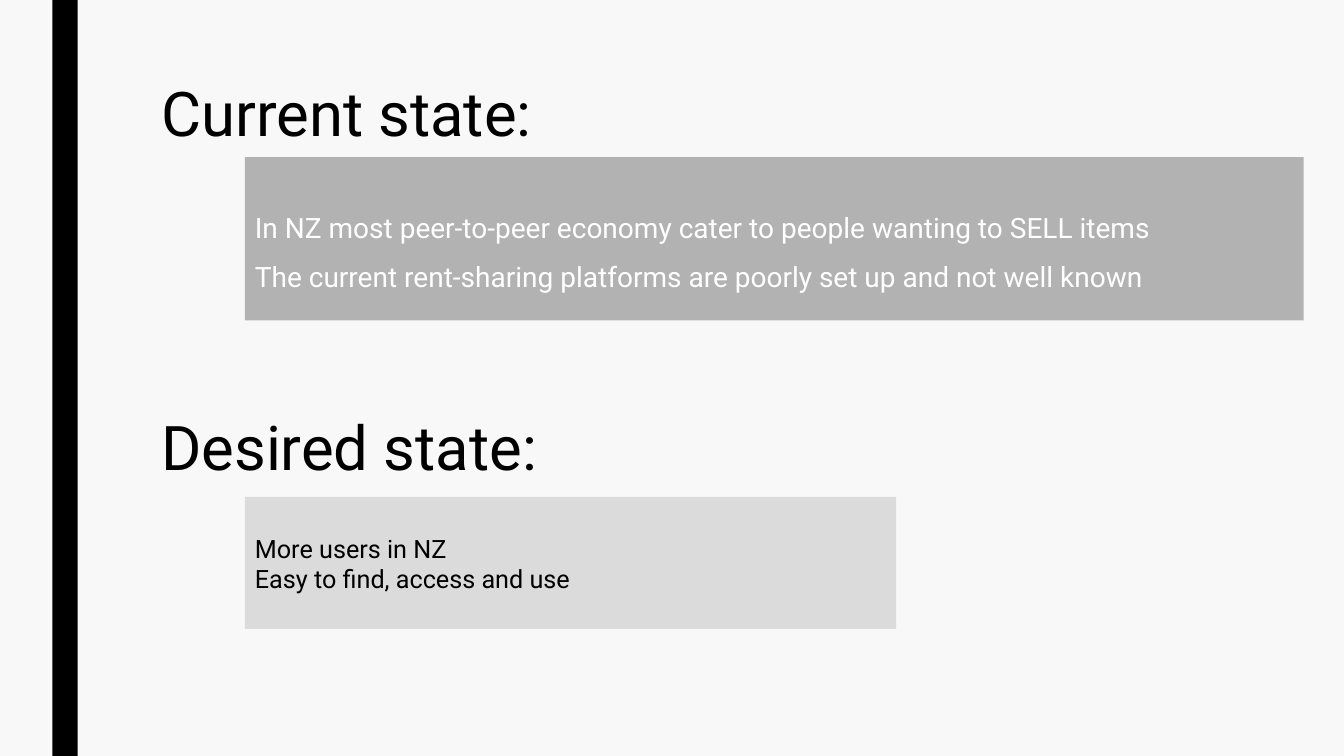
from pptx import Presentation
from pptx.dml.color import RGBColor
from pptx.enum.shapes import MSO_SHAPE as Shape
from pptx.enum.text import MSO_ANCHOR as Anchor, PP_ALIGN as Align
from pptx.util import Inches, Pt

deck = Presentation()
deck.slide_width, deck.slide_height = Inches(13.33), Inches(7.5)
slide = deck.slides.add_slide(deck.slide_layouts[5])

# Columns shared by the two states
HEAD, PANEL = 1.5, 2.43


def paint(fill, color):
    fill.solid()
    fill.fore_color.rgb = RGBColor.from_string(color)


def write(shape, lines, size, color, inset, spacing=1.0, before=0, after=0):
    frame = shape.text_frame
    frame.word_wrap = True
    frame.vertical_anchor = Anchor.TOP
    frame.margin_top = Inches(inset)
    frame.text = "\n".join(lines)
    for i, para in enumerate(frame.paragraphs):
        para.alignment = Align.LEFT
        para.line_spacing = spacing
        para.space_before = Pt(before if i else 0)
        para.space_after = Pt(after)
        para.font.name, para.font.size = "Roboto", Pt(size)
        para.font.color.rgb = RGBColor.from_string(color)


# Background
paint(slide.background.fill, "F8F8F8")

# Title and second heading
title = slide.shapes.title
title.left, title.top = Inches(HEAD), Inches(0.75)
title.width, title.height = Inches(3.99), Inches(0.81)
write(title, ["Current state:"], 44, "000000", 0.05, spacing=0.89)
title.text_frame.vertical_anchor = Anchor.MIDDLE

desired = slide.shapes.add_textbox(
    Inches(HEAD), Inches(3.98), Inches(3.99), Inches(1.14))
write(desired, ["Desired state:"], 44, "000000", 0.08)

# Side bar and the two panels
blocks = []
for left, top, width, height, color in [
    (0.52, 0, 0.25, 7.5, "000000"),
    (PANEL, 1.56, 10.5, 1.62, "B2B2B2"),
    (PANEL, 4.93, 6.46, 1.31, "DBDBDB"),
]:
    block = slide.shapes.add_shape(
        Shape.RECTANGLE, Inches(left), Inches(top), Inches(width), Inches(height))
    block.shadow.inherit = False
    block.line.fill.background()
    paint(block.fill, color)
    blocks.append(block)

# Panel text
bar, now, goal = blocks
write(now, [
    "In NZ most peer-to-peer economy cater to people wanting to SELL items",
    "The current rent-sharing platforms are poorly set up and not well known",
], 20, "FFFFFF", 0.56, spacing=0.94, before=10, after=2)
write(goal, ["More users in NZ", "Easy to find, access and use"],
      18, "000000", 0.36)

deck.save("out.pptx")
